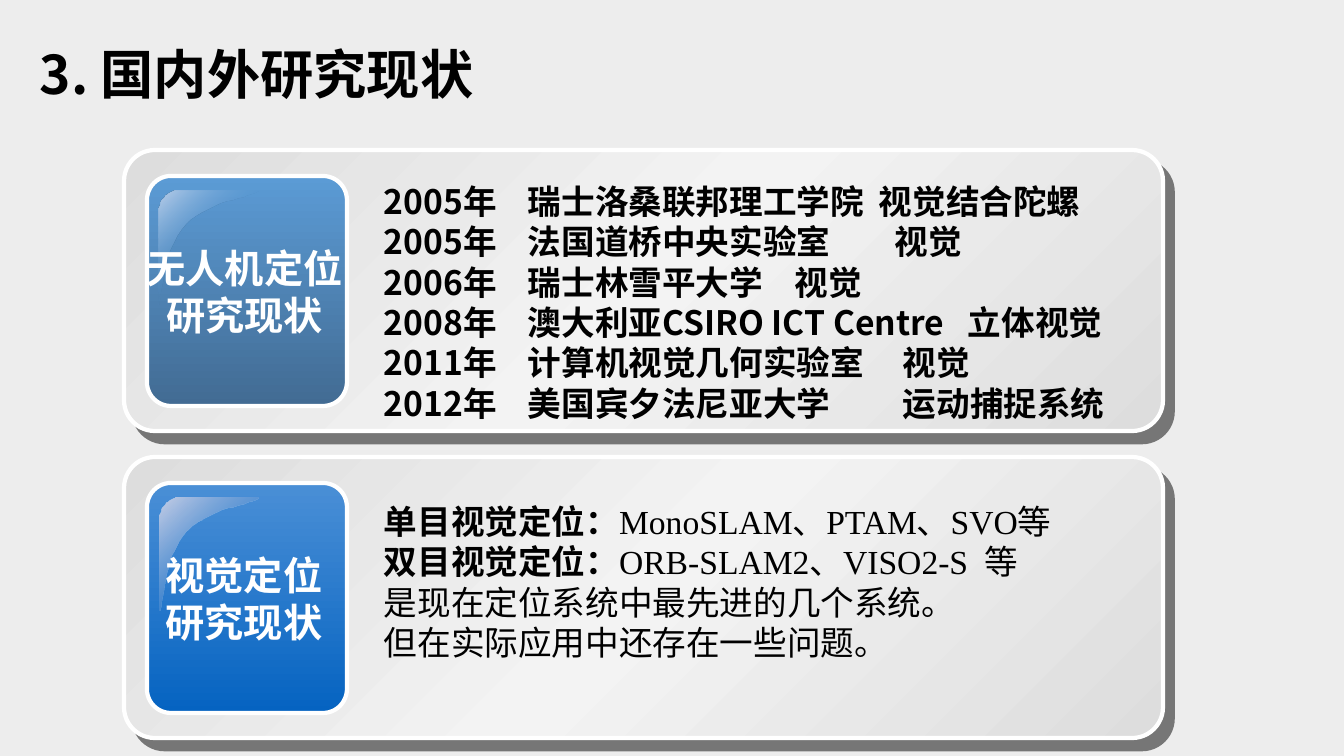
from dataclasses import dataclass

from lxml import etree
from pptx import Presentation
from pptx import util as u
from pptx.dml.color import RGBColor
from pptx.enum import shapes, text
from pptx.oxml import parse_xml
from pptx.oxml.ns import nsdecls, qn

EMU_PER_PX = 914400 / 100.8


@dataclass(frozen=True)
class Theme:
    background: str = "EDEDED"
    black: str = "000000"
    white: str = "FFFFFF"
    panel_edge: str = "DDDDDD"
    panel_glow: str = "F3F3F3"
    sans: str = "Noto Sans CJK SC"
    serif: str = "Times New Roman"
    title_size: int = 38
    badge_size: int = 28
    body_size: int = 24
    line_pitch: float = 1.2
    border: int = 3


@dataclass(frozen=True)
class Stop:
    position: int
    color: str
    alpha: int = 100


@dataclass(frozen=True)
class Run:
    text: str
    font: str
    bold: bool = False


@dataclass(frozen=True)
class Line:
    runs: list[Run]
    tabs: tuple[int, ...] = ()


@dataclass(frozen=True)
class Panel:
    badge: list[str]
    badge_left: int
    badge_width: int
    badge_stops: list[Stop]
    gloss_stops: list[Stop]
    body_top: int
    body_height: int
    lines: list[Line]


THEME = Theme()
PANEL_TOP, PANEL_STEP = 150, 307
YEAR_TAB = 144


def px(value: float) -> int:
    return round(value * EMU_PER_PX)


def bold_line(content: str, *tabs: int) -> Line:
    return Line([Run(content, THEME.sans, True)], tabs)


def study(year: int, place: str, method: str, method_tab: int) -> Line:
    return bold_line(f"{year}年\t{place}\t{method}", YEAR_TAB, method_tab)


def systems(label: str, names: str) -> Line:
    return Line([Run(label, THEME.sans, True), Run(names, THEME.serif)])


PANELS = [
    Panel(
        ["无人机定位", "研究现状"], 135, 219,
        [Stop(0, "5B9BD5"), Stop(100, "426B93")],
        [Stop(0, "BED0E9"), Stop(50, "5B9BD5", 0), Stop(100, "BED0E9")],
        26, 254,
        [
            study(2005, "瑞士洛桑联邦理工学院", "视觉结合陀螺", 495),
            study(2005, "法国道桥中央实验室", "视觉", 511),
            study(2006, "瑞士林雪平大学", "视觉", 411),
            study(2008, "澳大利亚CSIRO ICT Centre", "立体视觉", 584),
            study(2011, "计算机视觉几何实验室", "视觉", 519),
            study(2012, "美国宾夕法尼亚大学", "运动捕捉系统", 519),
        ],
    ),
    Panel(
        ["视觉定位", "研究现状"], 155, 178,
        [Stop(0, "4A8FD6"), Stop(100, "0563C1")],
        [Stop(0, "C9D0E7"), Stop(100, "0563C1", 0)],
        39, 173,
        [
            systems("单目视觉定位：", "MonoSLAM、PTAM、SVO等"),
            systems("双目视觉定位：", "ORB-SLAM2、VISO2-S  等"),
            Line([Run("是现在定位系统中最先进的几个系统。", THEME.serif)]),
            Line([Run("但在实际应用中还存在一些问题。", THEME.serif)]),
        ],
    ),
]


def fill_gradient(shape, stops: list[Stop], angle: int) -> None:
    marks = "".join(
        f'<a:gs pos="{stop.position * 1000}"><a:srgbClr val="{stop.color}">'
        f'<a:alpha val="{stop.alpha * 1000}"/></a:srgbClr></a:gs>'
        for stop in stops
    )
    shape._element.spPr.insert(2, parse_xml(
        f'<a:gradFill {nsdecls("a")} rotWithShape="1"><a:gsLst>{marks}</a:gsLst>'
        f'<a:lin ang="{angle * 60000}" scaled="0"/></a:gradFill>'
    ))


def add_card(slide, left: int, top: int, width: int, height: int,
             rounding: float, stops: list[Stop], angle: int):
    shape = slide.shapes.add_shape(
        shapes.MSO_SHAPE.ROUNDED_RECTANGLE, px(left), px(top), px(width), px(height))
    shape.adjustments[0] = rounding
    fill_gradient(shape, stops, angle)
    shape.line.color.rgb = RGBColor.from_string(THEME.white)
    shape.line.width = u.Pt(THEME.border)
    shape.shadow.inherit = False
    return shape


def cast_shadow(shape) -> None:
    effects = shape._element.spPr.find(qn("a:effectLst"))
    effects.append(parse_xml(
        f'<a:outerShdw {nsdecls("a")} blurRad="0" dist="{u.Pt(10.6)}" dir="{49 * 60000}" '
        f'algn="ctr" rotWithShape="0"><a:srgbClr val="{THEME.black}">'
        '<a:alpha val="50000"/></a:srgbClr></a:outerShdw>'
    ))


def curve(*controls: tuple[int, int], steps: int = 16) -> list[tuple[float, float]]:
    """Points along a cubic curve, without its start."""
    points = []
    for step in range(1, steps + 1):
        t = step / steps
        weights = ((1 - t) ** 3, 3 * t * (1 - t) ** 2, 3 * t * t * (1 - t), t ** 3)
        points.append(tuple(sum(w * c[axis] for w, c in zip(weights, controls))
                            for axis in (0, 1)))
    return points


def add_gloss(slide, left: int, top: int, stops: list[Stop]) -> None:
    outline = [
        *curve((20, 0), (9, 0), (0, 10), (0, 23)),
        (0, 113),
        *curve((0, 113), (4, 114), (2, 59), (27, 34)),
        *curve((27, 34), (53, 8), (100, 6), (99, 0)),
    ]
    builder = slide.shapes.build_freeform(20, 0, scale=EMU_PER_PX)
    builder.add_line_segments(outline, close=True)
    shape = builder.convert_to_shape(px(left), px(top))
    fill_gradient(shape, stops, 45)
    shape.line.fill.background()
    shape.shadow.inherit = False


def add_text(slide, lines: list[Line], *, left: int, top: int, width: int, height: int,
             size: int, color: str = THEME.black, centered: bool = False,
             wrap: bool = True) -> None:
    frame = slide.shapes.add_textbox(px(left), px(top), px(width), px(height)).text_frame
    frame.word_wrap = wrap
    for index, line in enumerate(lines):
        paragraph = frame.paragraphs[0] if index == 0 else frame.add_paragraph()
        paragraph.alignment = text.PP_ALIGN.CENTER if centered else text.PP_ALIGN.LEFT
        paragraph.line_spacing = u.Pt(size * THEME.line_pitch)
        if line.tabs:
            tab_list = etree.SubElement(paragraph._p.get_or_add_pPr(), qn("a:tabLst"))
            for tab in line.tabs:
                etree.SubElement(tab_list, qn("a:tab"), pos=str(px(tab)), algn="l")
        for part in line.runs:
            run = paragraph.add_run()
            run.text = part.text
            run.font.name, run.font.size, run.font.bold = part.font, u.Pt(size), part.bold
            run.font.color.rgb = RGBColor.from_string(color)
            etree.SubElement(run.font._element, qn("a:ea"), typeface=THEME.sans)


def add_panel(slide, panel: Panel, top: int) -> None:
    glow = [Stop(0, THEME.panel_edge), Stop(50, THEME.panel_glow), Stop(100, THEME.panel_edge)]
    cast_shadow(add_card(slide, 124, top, 1039, 281, 0.11, glow, 45))
    add_card(slide, 147, top + 26, 200, 230, 0.12, panel.badge_stops, 90)
    add_gloss(slide, 159, top + 41, panel.gloss_stops)
    add_text(slide, [bold_line(label) for label in panel.badge],
             left=panel.badge_left, top=top + 89, width=panel.badge_width, height=105,
             size=THEME.badge_size, color=THEME.white, centered=True, wrap=False)
    add_text(slide, panel.lines, left=374, top=top + panel.body_top, width=764,
             height=panel.body_height, size=THEME.body_size)


def main() -> None:
    presentation = Presentation()
    presentation.slide_width, presentation.slide_height = px(1344), px(756)
    slide = presentation.slides.add_slide(presentation.slide_layouts[6])
    slide.background.fill.solid()
    slide.background.fill.fore_color.rgb = RGBColor.from_string(THEME.background)

    # Title
    add_text(slide, [bold_line("3. 国内外研究现状")], left=30, top=36, width=690, height=75,
             size=THEME.title_size)

    # Research panels
    for index, panel in enumerate(PANELS):
        add_panel(slide, panel, PANEL_TOP + index * PANEL_STEP)

    presentation.save("out.pptx")


if __name__ == "__main__":
    main()
